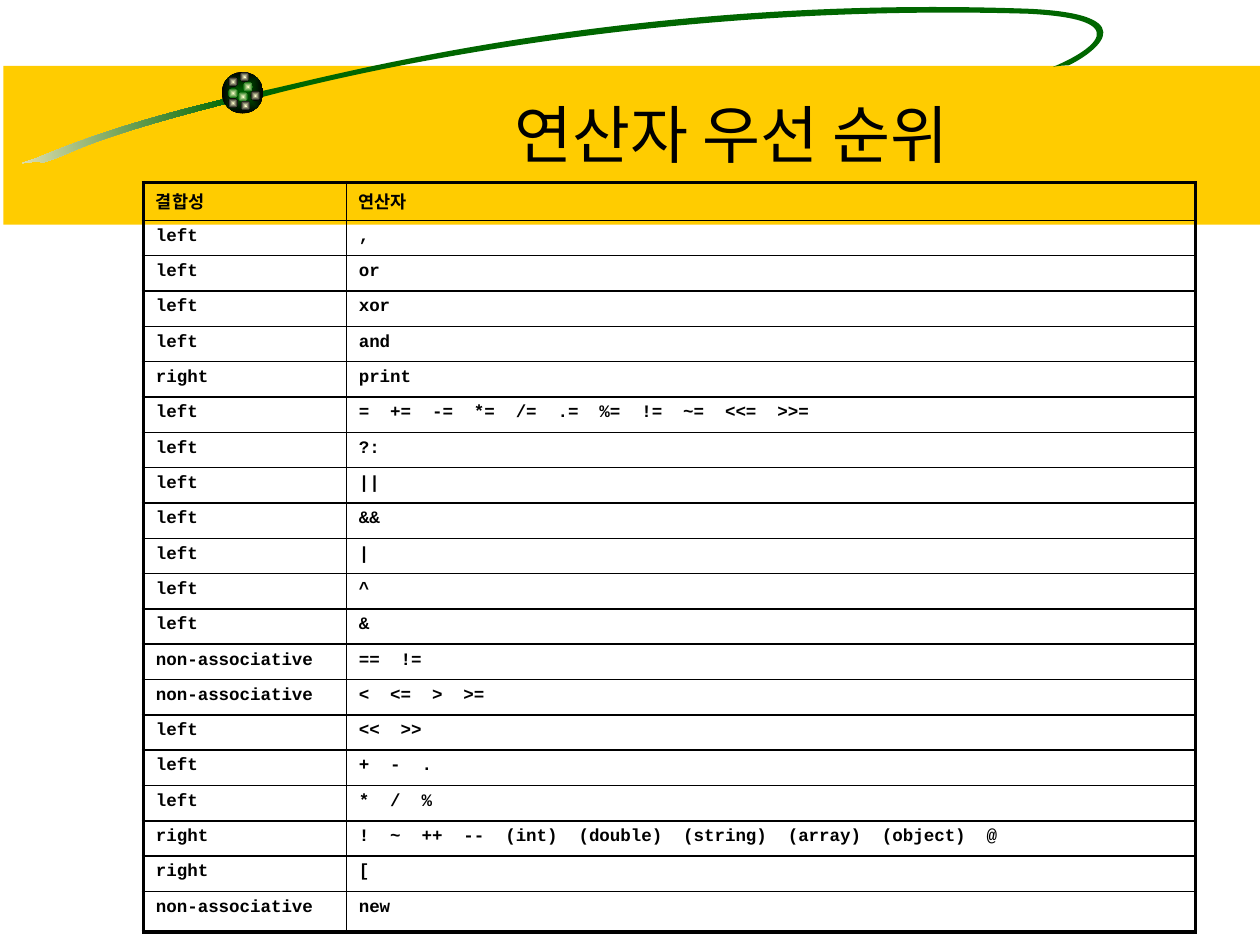
"""Builds a slide that lists operators in order of precedence."""
from dataclasses import dataclass
from math import cos, radians, sin

from lxml.etree import SubElement
from pptx import Presentation
from pptx.dml.color import RGBColor
from pptx.enum.shapes import MSO_SHAPE as Shape
from pptx.enum.text import MSO_ANCHOR as Anchor, PP_ALIGN as Align
from pptx.oxml.ns import qn
from pptx.util import Cm, Pt


@dataclass(frozen=True)
class Theme:
    band: str = "FFCC00"
    green: str = "006600"
    black: str = "000000"
    white: str = "FFFFFF"
    sand: str = "F5EBC1"
    glow: str = "FFFFCC"
    title_font: str = "Roboto"
    header_font: str = "Times New Roman"
    code_font: str = "Courier New"
    title_size: float = 36
    table_size: float = 10
    outer_line: float = 2.25
    inner_line: float = 1


THEME = Theme()

TILT = 8.5
TAIL_CENTRE = (2.34, 2.69)
TAIL_CURVES = [
    (4.6, 1.98),
    (2.36, 2.51), (1.32, 2.95), (0.71, 3.2),
    (0.08, 3.4), (0.74, 3.2), (0.86, 3.28),
    (1.5, 3.1), (1.52, 2.87), (4.6, 2.08),
    (4.6, 2.08), (4.6, 1.98), (4.6, 1.98),
]
ORBIT_CENTRE = (14.27, 1)
ORBIT_CURVES = [
    (5.21, 1.85),
    (6.3, 1.65), (12.42, -0.13), (20.75, 0.18),
    (23.34, 0.3), (21.84, 1.19), (21.54, 1.32),
    (21.54, 1.32), (21.39, 1.32), (21.23, 1.35),
    (21.51, 1.24), (23.34, 0.41), (20.73, 0.28),
    (13.97, 0.08), (8.2, 1.19), (5.28, 1.96),
    (5.28, 1.96), (5.21, 1.85), (5.21, 1.85),
]
BEADS = [
    (4.9, 1.65, THEME.green), (4.6, 1.55, THEME.black),
    (4.6, 1.78, THEME.green), (4.8, 1.85, THEME.green),
    (5.05, 1.83, THEME.black), (4.85, 2.03, THEME.black),
    (4.6, 1.98, THEME.black), (4.83, 1.45, THEME.black),
]
PRECEDENCE = [
    ("결합성", "연산자"),
    ("left", ","),
    ("left", "or"),
    ("left", "xor"),
    ("left", "and"),
    ("right", "print"),
    ("left", "=  +=  -=  *=  /=  .=  %=  !=  ~=  <<=  >>="),
    ("left", "?:"),
    ("left", "||"),
    ("left", "&&"),
    ("left", "|"),
    ("left", "^"),
    ("left", "&"),
    ("non-associative", "==  !="),
    ("non-associative", "<  <=  >  >="),
    ("left", "<<  >>"),
    ("left", "+  -  ."),
    ("left", "*  /  %"),
    ("right", "!  ~  ++  --  (int)  (double)  (string)  (array)  (object)  @"),
    ("right", "["),
    ("non-associative", "new"),
]


def rgb(code):
    """Turn a hex code into a colour."""
    return RGBColor.from_string(code)


def paint(shape, start, end=None, radial=False):
    """Fill a shape with one colour or a gradient, without line or shadow."""
    shape.shadow.inherit = False
    shape.line.fill.background()
    if end is None:
        shape.fill.solid()
        shape.fill.fore_color.rgb = rgb(start)
        return
    shape.fill.gradient()
    for stop, code in zip(shape.fill.gradient_stops, (start, end)):
        stop.color.rgb = rgb(code)
    shape.fill.gradient_angle = 0
    if radial:
        gradient = shape._element.spPr.find(qn("a:gradFill"))
        gradient.remove(gradient.find(qn("a:lin")))
        focus = SubElement(gradient, qn("a:path"), path="shape")
        SubElement(focus, qn("a:fillToRect"),
                   {side: "50000" for side in "ltrb"})


def add_block(slide, kind, left, top, width, height, *colours, radial=False):
    """Add a painted preset shape."""
    block = slide.shapes.add_shape(
        kind, Cm(left), Cm(top), Cm(width), Cm(height))
    paint(block, *colours, radial=radial)
    return block


def level(point, centre):
    """Turn a point on the tilted outline back to the level frame."""
    dx, dy = point[0] - centre[0], point[1] - centre[1]
    turn = radians(TILT)
    return (Cm(centre[0] + dx * cos(turn) - dy * sin(turn)),
            Cm(centre[1] + dx * sin(turn) + dy * cos(turn)))


def add_swoosh(slide, centre, curves, *colours):
    """Add a tilted closed outline whose points join into cubic curves."""
    first, *controls = [level(point, centre) for point in curves]
    builder = slide.shapes.build_freeform(*first)
    builder.add_line_segments(controls, close=True)
    swoosh = builder.convert_to_shape()
    lines = list(swoosh._element.iter(qn("a:lnTo")))
    for index in range(0, len(controls), 3):
        curve = lines[index].makeelement(qn("a:cubicBezTo"))
        lines[index].addprevious(curve)
        for line in lines[index:index + 3]:
            curve.append(line[0])
            line.getparent().remove(line)
    swoosh.rotation = 360 - TILT
    paint(swoosh, *colours)


def add_globe(slide):
    """Add the dark globe with its glowing beads."""
    add_block(slide, Shape.OVAL, 4.47, 1.45, 0.84, 0.84,
              THEME.green, THEME.black, radial=True)
    for left, top, rim in BEADS:
        add_block(slide, Shape.OVAL, left, top, 0.2, 0.2,
                  THEME.glow, rim, radial=True)


def add_side_panel(slide):
    """Add the half transparent panel under the band."""
    panel = add_block(slide, Shape.RECTANGLE, 1.96, 5.23, 3.1, 13.82,
                      THEME.white)
    colour = panel._element.spPr.find(qn("a:solidFill"))[0]
    SubElement(colour, qn("a:alpha"), val="50000")


def style_text(paragraph, font, size, bold):
    """Set the font of a paragraph."""
    paragraph.font.name = font
    paragraph.font.size = Pt(size)
    paragraph.font.bold = bold
    paragraph.font.color.rgb = rgb(THEME.black)


def set_title(slide, text):
    """Place the title in front of the decoration."""
    title = slide.shapes.title
    title.left, title.top = Cm(4.09), Cm(1.52)
    title.width, title.height = Cm(21.31), Cm(2.34)
    title.text_frame.text = text
    title.text_frame.vertical_anchor = Anchor.MIDDLE
    heading = title.text_frame.paragraphs[0]
    heading.alignment = Align.CENTER
    style_text(heading, THEME.title_font, THEME.title_size, False)
    slide.shapes._spTree.append(title._element)


def set_borders(cell, outer_sides):
    """Draw the four cell borders, thicker on the outer sides."""
    properties = cell._tc.get_or_add_tcPr()
    for side in "LRTB":
        weight = THEME.outer_line if side in outer_sides else THEME.inner_line
        line = SubElement(properties, qn(f"a:ln{side}"), w=str(Pt(weight)))
        SubElement(SubElement(line, qn("a:solidFill")), qn("a:srgbClr"),
                   val=THEME.black)


def add_precedence_table(slide, rows):
    """Add the table of associativity and operators."""
    last, height, last_height = len(rows) - 1, 15.06, 0.82
    table = slide.shapes.add_table(
        len(rows), 2, Cm(2.89), Cm(3.68), Cm(21.21), Cm(height)).table
    table.first_row = table.horz_banding = False
    table.columns[0].width, table.columns[1].width = Cm(4.09), Cm(17.12)
    for row, texts in enumerate(rows):
        table.rows[row].height = Cm(
            last_height if row == last else (height - last_height) / last)
        for column, text in enumerate(texts):
            cell = table.cell(row, column)
            cell.text = text
            entry = cell.text_frame.paragraphs[0]
            font = THEME.code_font if row else THEME.header_font
            style_text(entry, font, THEME.table_size, True)
            if row == last:
                entry.space_before = Pt(2)
            set_borders(cell, "LR"[column] + {0: "T", last: "B"}.get(row, ""))
            cell.fill.background()


def main():
    """Build and save the slide."""
    deck = Presentation()
    deck.slide_width, deck.slide_height = Cm(25.4), Cm(19.05)
    slide = deck.slides.add_slide(deck.slide_layouts[5])
    add_block(slide, Shape.RECTANGLE, 0.07, 1.33, 25.4, 3.2, THEME.band)
    add_swoosh(slide, TAIL_CENTRE, TAIL_CURVES, THEME.sand, THEME.green)
    add_swoosh(slide, ORBIT_CENTRE, ORBIT_CURVES, THEME.green)
    add_globe(slide)
    add_side_panel(slide)
    set_title(slide, "연산자 우선 순위")
    add_precedence_table(slide, PRECEDENCE)
    deck.save("out.pptx")


if __name__ == "__main__":
    main()
